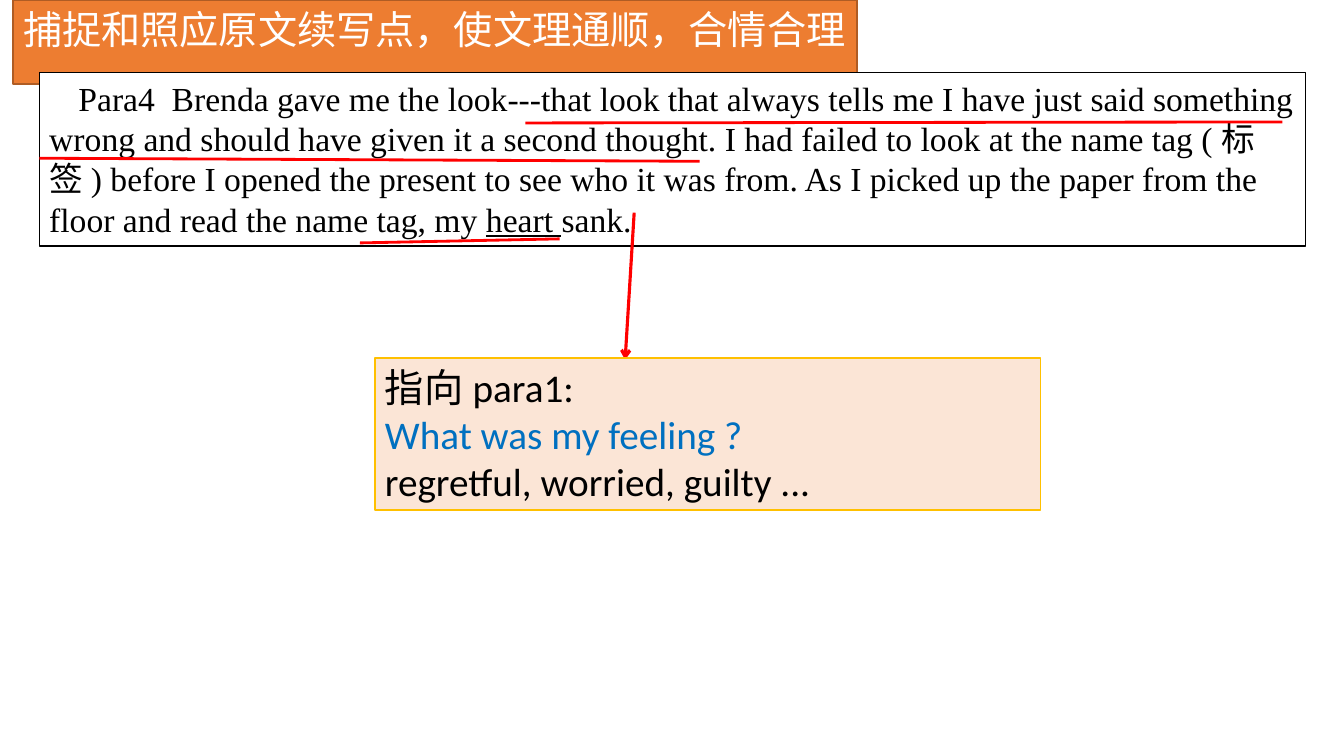
from lxml import etree
from pptx import Presentation
from pptx.dml.color import RGBColor
from pptx.enum.shapes import MSO_CONNECTOR
from pptx.enum.text import MSO_ANCHOR, MSO_AUTO_SIZE, PP_ALIGN
from pptx.oxml.ns import qn
from pptx.util import Inches, Pt

STRAIGHT = MSO_CONNECTOR.STRAIGHT
TOP = MSO_ANCHOR.TOP
GROW = MSO_AUTO_SIZE.SHAPE_TO_FIT_TEXT
LEFT = PP_ALIGN.LEFT
TITLE_ONLY = 5

SANS = "Calibri"
SERIF = "Times New Roman"
COLOURS = {
    "orange": "ED7D31",
    "brown": "AF5C24",
    "white": "FFFFFF",
    "black": "000000",
    "red": "FF0000",
    "peach": "FBE5D6",
    "gold": "FFC000",
    "blue": "0070C0",
}

PASSAGE = [
    ("Para4  Brenda gave me the look---that look that always tells me I have just "
     "said something wrong and should have given it a second thought. I had failed "
     "to look at the name tag (", SERIF, False),
    ("标签", SANS, False),
    (") before I opened the present to see who it was from. As I picked up the "
     "paper from the floor and read the name tag, my ", SERIF, False),
    ("heart ", SERIF, True),
    ("sank.", SERIF, False),
]
ANSWER = [
    ("指向para1:", "black"),
    ("What was my feeling ?", "blue"),
    ("regretful, worried, guilty ...", "black"),
]
UNDERLINES = [
    (5.21, 1.22, 12.72, 1.21),
    (0.39, 1.57, 6.94, 1.6),
    (3.57, 2.41, 5.55, 2.37),
]


def colour(name):
    """Return the named colour."""
    return RGBColor.from_string(COLOURS[name])


def frame_box(box, place, fill, line, wrap=True):
    """Place a box, paint it and prepare its text frame."""
    box.left, box.top, box.width, box.height = map(Inches, place)
    box.fill.solid()
    box.fill.fore_color.rgb = colour(fill)
    box.line.color.rgb = colour(line)
    box.line.width = Pt(1)
    frame = box.text_frame
    frame.word_wrap = wrap
    frame.auto_size = GROW
    frame.vertical_anchor = TOP
    return frame


def style_span(span, font, size, shade):
    """Format one run."""
    span.font.name = font
    span.font.size = Pt(size)
    span.font.color.rgb = colour(shade)


def add_title(page, text):
    """Fill the title placeholder as a banner."""
    frame = frame_box(page.shapes.title, (0.13, 0, 8.37, 0.57), "orange", "brown", wrap=False)
    frame.text = text
    para = frame.paragraphs[0]
    para.alignment = LEFT
    style_span(para.runs[0], SANS, 28, "white")


def add_passage(page):
    """Add the framed reading passage."""
    box = page.shapes.add_textbox(0, 0, 0, 0)
    frame = frame_box(box, (0.39, 0.72, 12.56, 1.72), "white", "black")
    para = frame.paragraphs[0]
    para._p.get_or_add_pPr().set("indent", str(Inches(0.29)))
    for text, font, underlined in PASSAGE:
        span = para.add_run()
        span.text = text
        style_span(span, font, 24, "black")
        if underlined:
            span.font.underline = True


def add_answer(page):
    """Add the box with the question and its answers."""
    box = page.shapes.add_textbox(0, 0, 0, 0)
    frame = frame_box(box, (3.72, 3.55, 6.6, 1.51), "peach", "gold")
    frame.text = "\n".join(text for text, shade in ANSWER)
    for para, (text, shade) in zip(frame.paragraphs, ANSWER):
        style_span(para.runs[0], SANS, 28, shade)


def add_red_line(page, ends, width=2, arrow=False):
    """Draw a red line, with an arrowhead at its end if asked."""
    connector = page.shapes.add_connector(STRAIGHT, *map(Inches, ends))
    connector.line.color.rgb = colour("red")
    connector.line.width = Pt(width)
    if arrow:
        outline = connector.line._get_or_add_ln()
        etree.SubElement(outline, qn("a:tailEnd"), type="arrow")
    etree.SubElement(connector._element.spPr, qn("a:effectLst"))


def main():
    """Build the slide and save it."""
    deck = Presentation()
    deck.slide_width = Inches(13.33)
    deck.slide_height = Inches(7.5)
    page = deck.slides.add_slide(deck.slide_layouts[TITLE_ONLY])
    add_title(page, "捕捉和照应原文续写点，使文理通顺，合情合理")
    add_passage(page)
    for ends in UNDERLINES:
        add_red_line(page, ends)
    add_red_line(page, (6.29, 2.11, 6.2, 3.57), width=2.25, arrow=True)
    add_answer(page)
    deck.save("out.pptx")


if __name__ == "__main__":
    main()
